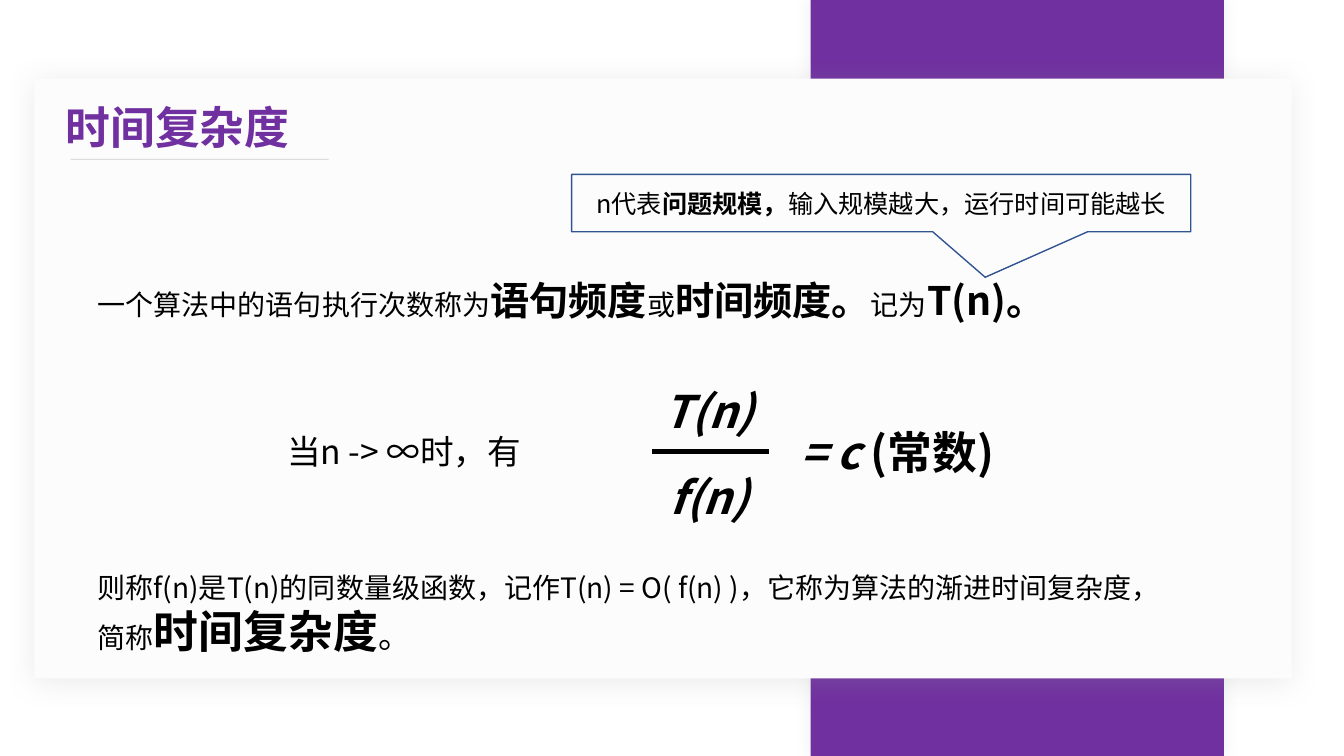
from dataclasses import dataclass

from lxml import etree
from pptx import Presentation
from pptx.dml.color import RGBColor
from pptx.enum.shapes import MSO_CONNECTOR, MSO_SHAPE
from pptx.enum.text import MSO_ANCHOR, MSO_AUTO_SIZE, PP_ALIGN
from pptx.oxml.ns import qn
from pptx.util import Inches, Pt

RECT = MSO_SHAPE.RECTANGLE
CALLOUT = MSO_SHAPE.RECTANGULAR_CALLOUT
STRAIGHT = MSO_CONNECTOR.STRAIGHT
TOP, MIDDLE = MSO_ANCHOR.TOP, MSO_ANCHOR.MIDDLE
LEFT, CENTER = PP_ALIGN.LEFT, PP_ALIGN.CENTER
GROW = MSO_AUTO_SIZE.SHAPE_TO_FIT_TEXT


@dataclass(frozen=True)
class Theme:
    font: str = "Noto Sans CJK JP"
    purple: str = "7030A0"
    card: str = "FCFCFD"
    ink: str = "000000"
    blue: str = "325491"
    gray: str = "969F98"
    pale: str = "D5D7D5"
    note: int = 18
    body: int = 20
    lead: int = 24
    strong: int = 28
    title: int = 32


T = Theme()


def rgb(color):
    return RGBColor.from_string(color)


def add_alpha(clr, percent):
    etree.SubElement(clr, qn("a:alpha"), val=str(percent * 1000))


def add_shadow(sp, color, alpha, blur, dist=0, angle=0):
    effects = etree.SubElement(sp._element.spPr, qn("a:effectLst"))
    outer = etree.SubElement(
        effects, qn("a:outerShdw"), blurRad=str(Pt(blur)), dist=str(Pt(dist)),
        dir=str(angle * 60000), algn="ctr", rotWithShape="0")
    add_alpha(etree.SubElement(outer, qn("a:srgbClr"), val=color), alpha)


def add_rect(s, x, y, w, h, color):
    sp = s.shapes.add_shape(RECT, Inches(x), Inches(y), Inches(w), Inches(h))
    sp.fill.solid()
    sp.fill.fore_color.rgb = rgb(color)
    sp.line.fill.background()
    return sp


def add_rule(s, x, y, w, color, width, alpha=100):
    cn = s.shapes.add_connector(
        STRAIGHT, Inches(x), Inches(y), Inches(x + w), Inches(y))
    cn.line.color.rgb = rgb(color)
    cn.line.width = Pt(width)
    if alpha < 100:
        add_alpha(cn._element.spPr.find(".//" + qn("a:srgbClr")), alpha)
    etree.SubElement(cn._element.spPr, qn("a:effectLst"))


def write(tf, paragraphs, color=T.ink, anchor=TOP, align=LEFT):
    """Each run is (text, size, style); style holds b for bold, i for italic."""
    tf.word_wrap = True
    tf.vertical_anchor = anchor
    for n, runs in enumerate(paragraphs):
        p = tf.paragraphs[0] if n == 0 else tf.add_paragraph()
        p.alignment = align
        for text, size, style in runs:
            r = p.add_run()
            r.text = text
            f = r.font
            f.name, f.size = T.font, Pt(size)
            f.bold, f.italic = "b" in style, "i" in style
            f.color.rgb = rgb(color)
            etree.SubElement(r._r.rPr, qn("a:ea"), typeface=T.font)


def add_text(s, x, y, w, h, *paragraphs, **style):
    tf = s.shapes.add_textbox(
        Inches(x), Inches(y), Inches(w), Inches(h)).text_frame
    write(tf, paragraphs, **style)
    tf.auto_size = GROW


def draw_backdrop(s, band, card):
    add_shadow(add_rect(s, *band, T.purple), T.pale, 40, 10)
    add_shadow(add_rect(s, *card, T.card), T.gray, 20, 20, 3, 90)


def draw_title(s, x, y, w, h):
    add_text(s, x, y, w, h, [("时间复杂度", T.title, "b")], color=T.purple)
    add_rule(s, x + 0.15, y + h, w - 0.02, T.gray, 0.5, alpha=50)


def draw_callout(s, x, y, w, h):
    sp = s.shapes.add_shape(CALLOUT, Inches(x), Inches(y), Inches(w), Inches(h))
    sp.adjustments[0], sp.adjustments[1] = 0.168, 1.291
    sp.fill.background()
    sp.line.color.rgb = rgb(T.blue)
    sp.line.width = Pt(1)
    sp.shadow.inherit = False
    runs = [("n代表", T.note, ""), ("问题规模，", T.note, "b"),
            ("输入规模越大，运行时间可能越长", T.note, "")]
    write(sp.text_frame, [runs], anchor=MIDDLE, align=CENTER)


def draw_definition(s, x, y, w, h):
    add_text(s, x, y, w, h, [
        ("一个算法中的语句执行次数称为", T.body, ""),
        ("语句频度", T.strong, "b"), ("或", T.body, ""),
        ("时间频度。", T.strong, "b"), ("记为", T.body, ""),
        ("T(n)。 ", T.strong, "b")], anchor=MIDDLE)


def draw_limit(s, x, y, w, h):
    row = 0.64
    # Condition
    add_text(s, x, y + 0.48, 2.74, 0.5, [("当n -> ∞时，有", T.lead, "")])
    # Fraction
    add_text(s, x + 3.73, y, 1.16, row, [("T(n) ", T.title, "bi")], anchor=MIDDLE)
    add_rule(s, x + 3.72, y + 0.73, 1.16, T.ink, 3)
    add_text(s, x + 3.79, y + h - row, 1.02, row, [("f(n) ", T.title, "bi")],
             anchor=MIDDLE)
    # Constant
    add_text(s, x + w - 2.74, y + 0.41, 2.74, row,
             [("= c ", T.title, "bi"), ("(常数)", T.title, "b")], anchor=MIDDLE)


def draw_conclusion(s, x, y, w, h):
    add_text(
        s, x, y, w, h,
        [("则称f(n)是T(n)的同数量级函数，记作T(n) = O( f(n) )，"
          "它称为算法的渐进时间复杂度，", T.body, "")],
        [("简称", T.body, ""), ("时间复杂度", T.title, "b"), ("。", T.lead, "")])


prs = Presentation()
prs.slide_width, prs.slide_height = Inches(13.33), Inches(7.5)
s = prs.slides.add_slide(prs.slide_layouts[6])

draw_backdrop(s, band=(8.04, 0, 4.1, 7.5), card=(0.34, 0.78, 12.47, 5.95))
draw_title(s, 0.55, 0.94, 2.58, 0.64)
draw_definition(s, 0.87, 2.69, 11.97, 0.57)
draw_callout(s, 5.67, 1.73, 6.14, 0.57)
draw_limit(s, 2.75, 3.75, 7.83, 1.5)
draw_conclusion(s, 0.87, 5.61, 11.97, 0.98)

prs.save("out.pptx")
